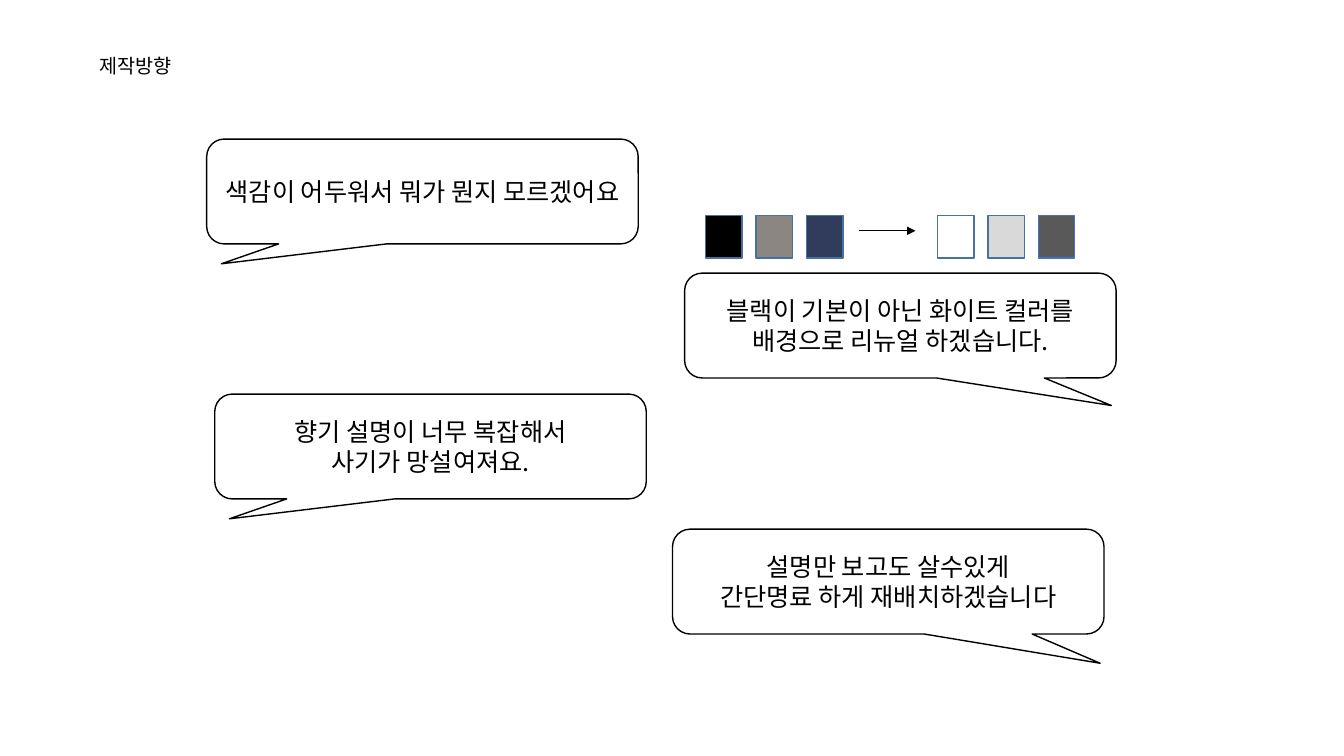
from lxml.etree import SubElement
from pptx import Presentation
from pptx.dml.color import RGBColor
from pptx.enum.shapes import MSO_CONNECTOR as CONNECTOR, MSO_SHAPE as SHAPE
from pptx.enum.text import MSO_ANCHOR as ANCHOR, MSO_AUTO_SIZE as AUTO_SIZE, PP_ALIGN as ALIGN
from pptx.oxml.ns import qn
from pptx.util import Pt

PX = 9144  # 100 px to the inch
FONT = "Noto Sans CJK KR"


def color(value):
    return RGBColor.from_string(value)


def write(frame, lines, size, align):
    frame.word_wrap = True
    for index, line in enumerate(lines):
        paragraph = frame.paragraphs[0] if index == 0 else frame.add_paragraph()
        paragraph.alignment = align
        run = paragraph.add_run()
        run.text = line
        for name, value in {"size": Pt(size), "name": FONT}.items():
            setattr(run.font, name, value)
        run.font.color.rgb = color("000000")
        SubElement(run.font._element, qn("a:ea"), typeface=FONT)


presentation = Presentation()
presentation.slide_width = 1333 * PX
presentation.slide_height = 750 * PX
slide = presentation.slides.add_slide(presentation.slide_layouts[6])

# Heading
heading = slide.shapes.add_textbox(89 * PX, 49 * PX, 456 * PX, 34 * PX)
write(heading.text_frame, ["제작방향"], 14, ALIGN.LEFT)
heading.text_frame.auto_size = AUTO_SIZE.SHAPE_TO_FIT_TEXT

# Speech bubbles: left, top, tail tip, lines
bubbles = [
    (679, 271, (0.489, 0.763), ["블랙이 기본이 아닌 화이트 컬러를", "배경으로 리뉴얼 하겠습니다."]),
    (205, 138, (-0.466, 0.69), ["색감이 어두워서 뭐가 뭔지 모르겠어요"]),
    (213, 391, (-0.466, 0.69), ["향기 설명이 너무 복잡해서", "사기가 망설여져요."]),
    (667, 525, (0.491, 0.779), ["설명만 보고도 살수있게", "간단명료 하게 재배치하겠습니다"]),
]
for left, top, tip, lines in bubbles:
    bubble = slide.shapes.add_shape(
        SHAPE.ROUNDED_RECTANGULAR_CALLOUT, left * PX, top * PX, 428 * PX, 104 * PX)
    bubble.adjustments[0], bubble.adjustments[1] = tip
    bubble.shadow.inherit = False
    bubble.fill.solid()
    bubble.fill.fore_color.rgb = color("FFFFFF")
    bubble.line.color.rgb = color("000000")
    bubble.line.width = Pt(1)
    bubble.text_frame.vertical_anchor = ANCHOR.MIDDLE
    write(bubble.text_frame, lines, 18, ALIGN.CENTER)

# Colour swatches: dark palette, then light palette
palettes = [
    (700, [("000000", "43739E"), ("8B8681", "43739E"), ("313C5C", "43739E")]),
    (930, [("FFFFFF", "43739E"), ("D9D9D9", "43739E"), ("595959", "4472C4")]),
]
for start, swatches in palettes:
    for index, (fill, outline) in enumerate(swatches):
        swatch = slide.shapes.add_shape(
            SHAPE.RECTANGLE, (start + 50 * index) * PX, 214 * PX, 36 * PX, 42 * PX)
        swatch.shadow.inherit = False
        swatch.fill.solid()
        swatch.fill.fore_color.rgb = color(fill)
        swatch.line.color.rgb = color(outline)
        swatch.line.width = Pt(1)

# Arrow between the palettes
arrow = slide.shapes.add_connector(CONNECTOR.STRAIGHT, 852 * PX, 229 * PX, 908 * PX, 229 * PX)
arrow.line.color.rgb = color("000000")
arrow.line.width = Pt(0.5)
SubElement(arrow.line._get_or_add_ln(), qn("a:tailEnd"), type="triangle")
SubElement(arrow._element.spPr, qn("a:effectLst"))

presentation.save("out.pptx")
